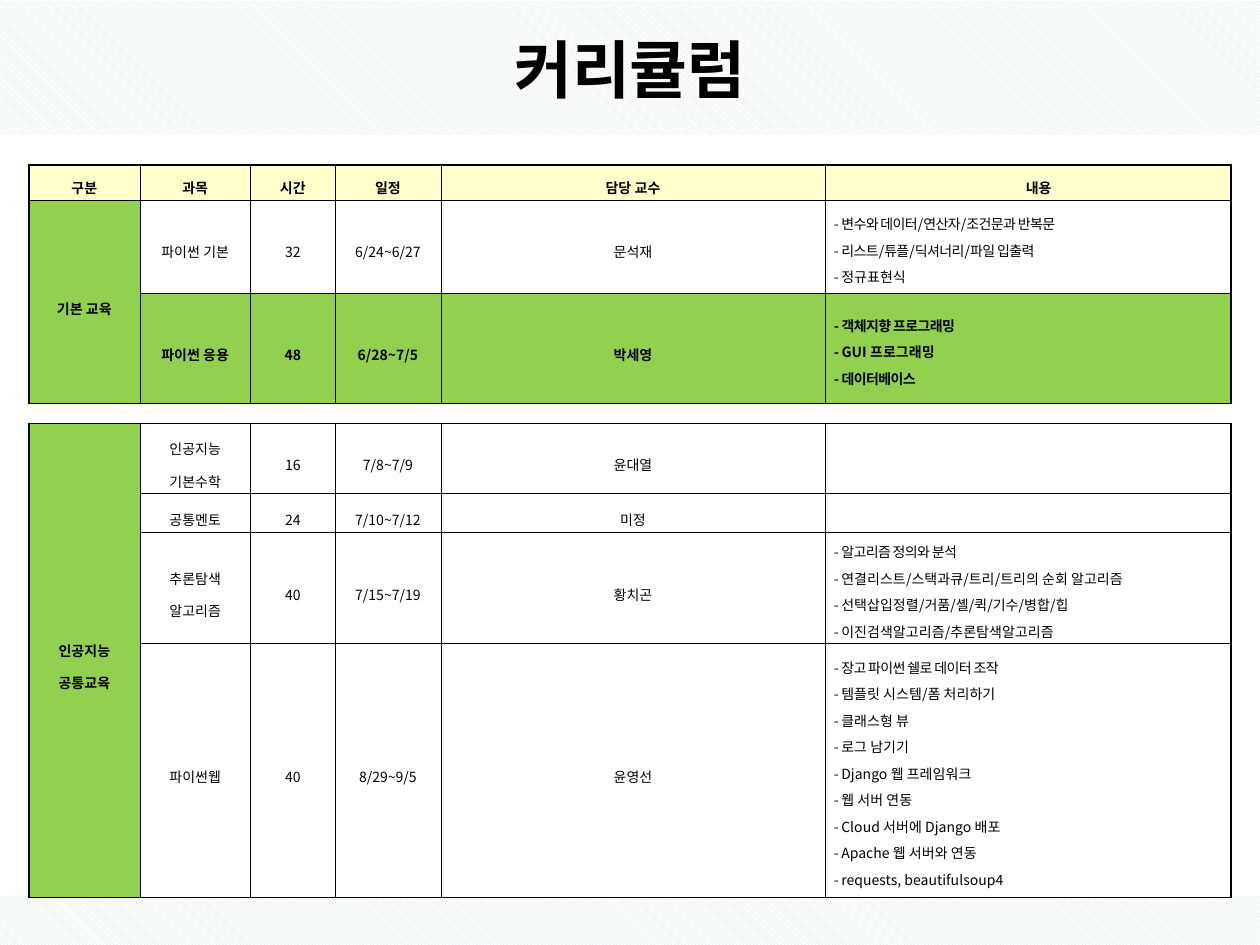
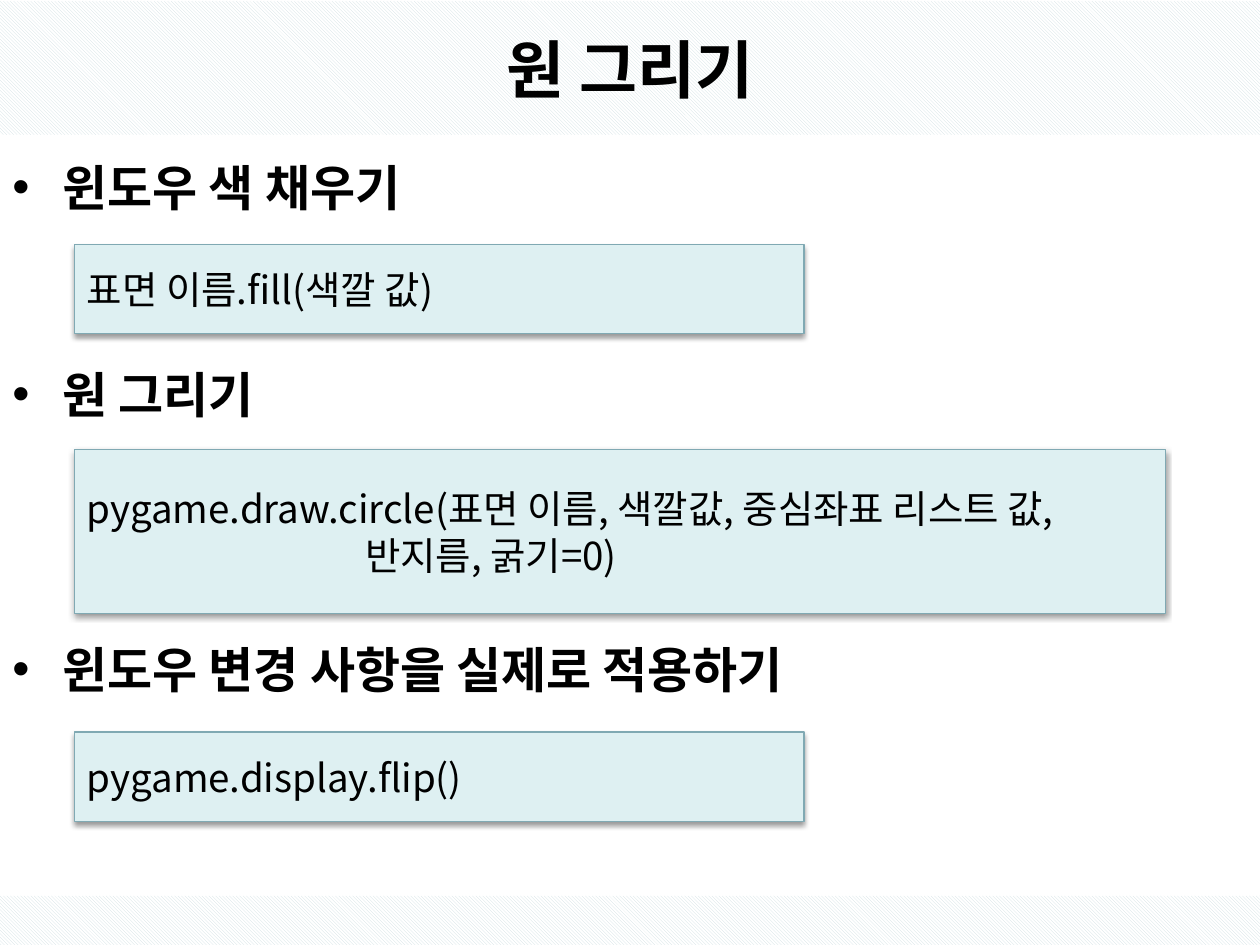
"""Build a course curriculum slide and a circle drawing lesson slide."""

from lxml.etree import SubElement
from pptx import Presentation
from pptx.dml.color import RGBColor
from pptx.enum.dml import MSO_PATTERN
from pptx.enum.shapes import MSO_SHAPE
from pptx.enum.text import MSO_ANCHOR, MSO_AUTO_SIZE, PP_ALIGN
from pptx.oxml import parse_xml
from pptx.oxml.ns import nsdecls, qn
from pptx.util import Inches, Pt

WIDTH, HEIGHT = 10, 7.5
FONT = "Noto Sans CJK KR"
COLORS = {
    "text": "000000",
    "white": "FFFFFF",
    "stripe": "CEDEE2",
    "header": "FFFFCB",
    "green": "92D050",
    "code": "DEF0F2",
    "code_line": "80A9B3",
}

HEADERS = ["구분", "과목", "시간", "일정", "담당 교수", "내용"]
BASIC_COURSES = [
    ("파이썬 기본", "32", "6/24~6/27", "문석재",
     ["변수와 데이터/연산자/조건문과 반복문", "리스트/튜플/딕셔너리/파일 입출력", "정규표현식"]),
    ("파이썬 응용", "48", "6/28~7/5", "박세영",
     ["객체지향 프로그래밍", "GUI 프로그래밍", "데이터베이스"]),
]
COMMON_COURSES = [
    ("인공지능 기본수학", "16", "7/8~7/9", "윤대열", []),
    ("공통멘토", "24", "7/10~7/12", "미정", []),
    ("추론탐색 알고리즘", "40", "7/15~7/19", "황치곤",
     ["알고리즘 정의와 분석", "연결리스트/스택과큐/트리/트리의 순회 알고리즘",
      "선택삽입정렬/거품/셸/퀵/기수/병합/힙", "이진검색알고리즘/추론탐색알고리즘"]),
    ("파이썬웹", "40", "8/29~9/5", "윤영선",
     ["장고 파이썬 쉘로 데이터 조작", "템플릿 시스템/폼 처리하기", "클래스형 뷰", "로그 남기기",
      "Django 웹 프레임워크", "웹 서버 연동", "Cloud 서버에 Django 배포",
      "Apache 웹 서버와 연동", "requests, beautifulsoup4"]),
]
TIGHT_TOPICS = {
    "변수와 데이터/연산자/조건문과 반복문", "리스트/튜플/딕셔너리/파일 입출력",
    "객체지향 프로그래밍", "데이터베이스", "알고리즘 정의와 분석", "장고 파이썬 쉘로 데이터 조작",
}
HIGHLIGHTED = "파이썬 응용"
TABLES = [
    {"top": 1.31, "rows": [0.28, 0.74, 0.87], "headers": HEADERS,
     "group": ["기본 교육"], "courses": BASIC_COURSES},
    {"top": 3.36, "rows": [0.55, 0.31, 0.88, 2.01], "headers": [],
     "group": ["인공지능", "공통교육"], "courses": COMMON_COURSES},
]
TABLE_LEFT = 0.23
COLUMNS = [0.88, 0.88, 0.67, 0.84, 3.05, 3.22]
THIN, THICK = 0.28, 1.7

BULLETS = [("윈도우 색 채우기", 0), ("원 그리기", 84.5), ("윈도우 변경 사항을 실제로 적용하기", 123.5)]
SHORT_CODE, LONG_CODE = (5.79, 0.71), (8.66, 1.3)
CODE_LEFT = 0.59
CODE_BOXES = [
    (1.94, SHORT_CODE, [("표면 이름.fill(색깔 값)", 0)]),
    (3.57, LONG_CODE, [("pygame.draw.circle(표면 이름, 색깔값, 중심좌표 리스트 값,", 0),
                       ("반지름, 굵기=0)", 2.21)]),
    (5.81, SHORT_CODE, [("pygame.display.flip()", 0)]),
]


def color(name):
    return RGBColor.from_string(COLORS[name])


def box(left, top, width, height):
    return [Inches(length) for length in (left, top, width, height)]


def add_run(paragraph, text, size, bold=False, spacing=0):
    run = paragraph.add_run()
    run.text = text
    run.font.size = Pt(size)
    run.font.bold = bold
    run.font.name = FONT
    run.font.color.rgb = color("text")
    properties = run.font._element
    SubElement(properties, qn("a:ea"), typeface=FONT)
    if spacing:
        properties.set("spc", str(round(spacing * 100)))


def next_paragraph(text_frame, index):
    return text_frame.add_paragraph() if index else text_frame.paragraphs[0]


def indent(paragraph, margin, first_line=0):
    properties = paragraph._p.get_or_add_pPr()
    properties.set("marL", str(Inches(margin)))
    properties.set("indent", str(Inches(first_line)))
    return properties


def fill_stripes(shape):
    shape.fill.patterned()
    shape.fill.pattern = MSO_PATTERN.LIGHT_DOWNWARD_DIAGONAL
    shape.fill.fore_color.rgb = color("stripe")
    shape.fill.back_color.rgb = color("white")


def add_layout_footer(slide, layout):
    band = slide.shapes.add_shape(MSO_SHAPE.RECTANGLE, *box(0, 7.11, WIDTH, 0.39))
    band.shadow.inherit = False
    band.line.fill.background()
    fill_stripes(band)
    layout.shapes.element.append(band._element)


def add_titled_slide(presentation, layout, text):
    slide = presentation.slides.add_slide(layout)
    title = slide.shapes.title
    title.left, title.top, title.width, title.height = box(0, 0.01, WIDTH, 1.06)
    fill_stripes(title)
    frame = title.text_frame
    frame.word_wrap = True
    frame.auto_size = MSO_AUTO_SIZE.NONE
    frame.vertical_anchor = MSO_ANCHOR.MIDDLE
    frame.paragraphs[0].alignment = PP_ALIGN.CENTER
    add_run(frame.paragraphs[0], text, 36, True)
    return slide


def set_borders(cell, widths):
    properties = cell._tc.get_or_add_tcPr()
    for index, (side, width) in enumerate(zip("LRTB", widths)):
        line = parse_xml(
            f'<a:ln{side} {nsdecls("a")} w="{Pt(width)}"><a:solidFill>'
            f'<a:srgbClr val="{COLORS["text"]}"/></a:solidFill></a:ln{side}>')
        properties.insert(index, line)


def write_lines(cell, lines, bold, spacing):
    for index, text in enumerate(lines):
        paragraph = next_paragraph(cell.text_frame, index)
        paragraph.alignment = PP_ALIGN.CENTER
        paragraph.line_spacing = spacing
        add_run(paragraph, text, 8, bold)


def write_topics(cell, topics, bold):
    for index, topic in enumerate(topics):
        paragraph = next_paragraph(cell.text_frame, index)
        paragraph.alignment = PP_ALIGN.JUSTIFY
        paragraph.line_spacing = 1.3
        add_run(paragraph, "- ", 8, bold, -0.4)
        add_run(paragraph, topic, 8, bold, -0.4 if topic in TIGHT_TOPICS else 0)
    if not topics:
        SubElement(cell.text_frame.paragraphs[0]._p, qn("a:endParaRPr"), sz="800")


def format_cell(cell, fill, column, is_header):
    cell.margin_left = cell.margin_right = Inches(0.07)
    cell.margin_top = cell.margin_bottom = Inches(0.02)
    cell.vertical_anchor = MSO_ANCHOR.MIDDLE
    cell.fill.solid()
    cell.fill.fore_color.rgb = color(fill)
    outer = [column == 0, column == len(COLUMNS) - 1, is_header, False]
    set_borders(cell, [THICK if thick else THIN for thick in outer])


def add_course_table(slide, top, rows, headers, group, courses):
    frame = slide.shapes.add_table(
        len(rows), len(COLUMNS), *box(TABLE_LEFT, top, sum(COLUMNS), sum(rows)))
    table = frame.table
    table.first_row = table.horz_banding = False
    for column, width in zip(table.columns, COLUMNS):
        column.width = Inches(width)
    for row, height in zip(table.rows, rows):
        row.height = Inches(height)

    for column, text in enumerate(headers):
        cell = table.cell(0, column)
        format_cell(cell, "header", column, True)
        write_lines(cell, [text], True, 1.45)
    if headers:
        indent(table.cell(0, len(COLUMNS) - 1).text_frame.paragraphs[0], 0.17)

    first = 1 if headers else 0
    for row, (*facts, topics) in enumerate(courses, first):
        bold = facts[0] == HIGHLIGHTED
        fill = "green" if bold else "white"
        format_cell(table.cell(row, 0), "green", 0, False)
        for column, text in enumerate(facts, 1):
            cell = table.cell(row, column)
            format_cell(cell, fill, column, False)
            write_lines(cell, [text], bold, 1.45 if headers and not bold else 1.6)
        cell = table.cell(row, len(COLUMNS) - 1)
        format_cell(cell, fill, len(COLUMNS) - 1, False)
        write_topics(cell, topics, bold)
    group_cell = table.cell(first, 0)
    group_cell.merge(table.cell(len(rows) - 1, 0))
    write_lines(group_cell, group, True, 1.6)


def add_bullets(slide):
    frame = slide.shapes.add_textbox(*box(0, 1.2, WIDTH, 5.75)).text_frame
    frame.word_wrap = True
    for index, (text, space_before) in enumerate(BULLETS):
        paragraph = next_paragraph(frame, index)
        paragraph.space_before = Pt(space_before)
        properties = indent(paragraph, 0.4, -0.4)
        SubElement(properties, qn("a:buFont"), typeface="Arial")
        SubElement(properties, qn("a:buChar"), char="•")
        add_run(paragraph, text, 28, True)


def add_code_box(slide, top, size, lines):
    shape = slide.shapes.add_shape(MSO_SHAPE.RECTANGLE, *box(CODE_LEFT, top, *size))
    shape.fill.solid()
    shape.fill.fore_color.rgb = color("code")
    shape.line.color.rgb = color("code_line")
    shape.line.width = Pt(0.75)
    shape.shadow.inherit = False
    effects = shape._element.spPr.find(qn("a:effectLst"))
    shadow = SubElement(effects, qn("a:outerShdw"), blurRad=str(Pt(3.1)),
                        dist=str(Pt(1.6)), dir="5400000", rotWithShape="0")
    shade = SubElement(shadow, qn("a:srgbClr"), val=COLORS["text"])
    SubElement(shade, qn("a:alpha"), val="38000")
    frame = shape.text_frame
    frame.word_wrap = True
    frame.vertical_anchor = MSO_ANCHOR.MIDDLE
    for index, (text, margin) in enumerate(lines):
        paragraph = next_paragraph(frame, index)
        paragraph.alignment = PP_ALIGN.LEFT
        indent(paragraph, margin)
        add_run(paragraph, text, 22)


def main():
    presentation = Presentation()
    presentation.slide_width, presentation.slide_height = Inches(WIDTH), Inches(HEIGHT)
    layout = presentation.slide_layouts.get_by_name("Title Only")

    curriculum = add_titled_slide(presentation, layout, "커리큘럼")
    add_layout_footer(curriculum, layout)
    for table in TABLES:
        add_course_table(curriculum, **table)

    circle = add_titled_slide(presentation, layout, "원 그리기")
    add_bullets(circle)
    for top, size, lines in CODE_BOXES:
        add_code_box(circle, top, size, lines)

    presentation.save("out.pptx")


if __name__ == "__main__":
    main()
